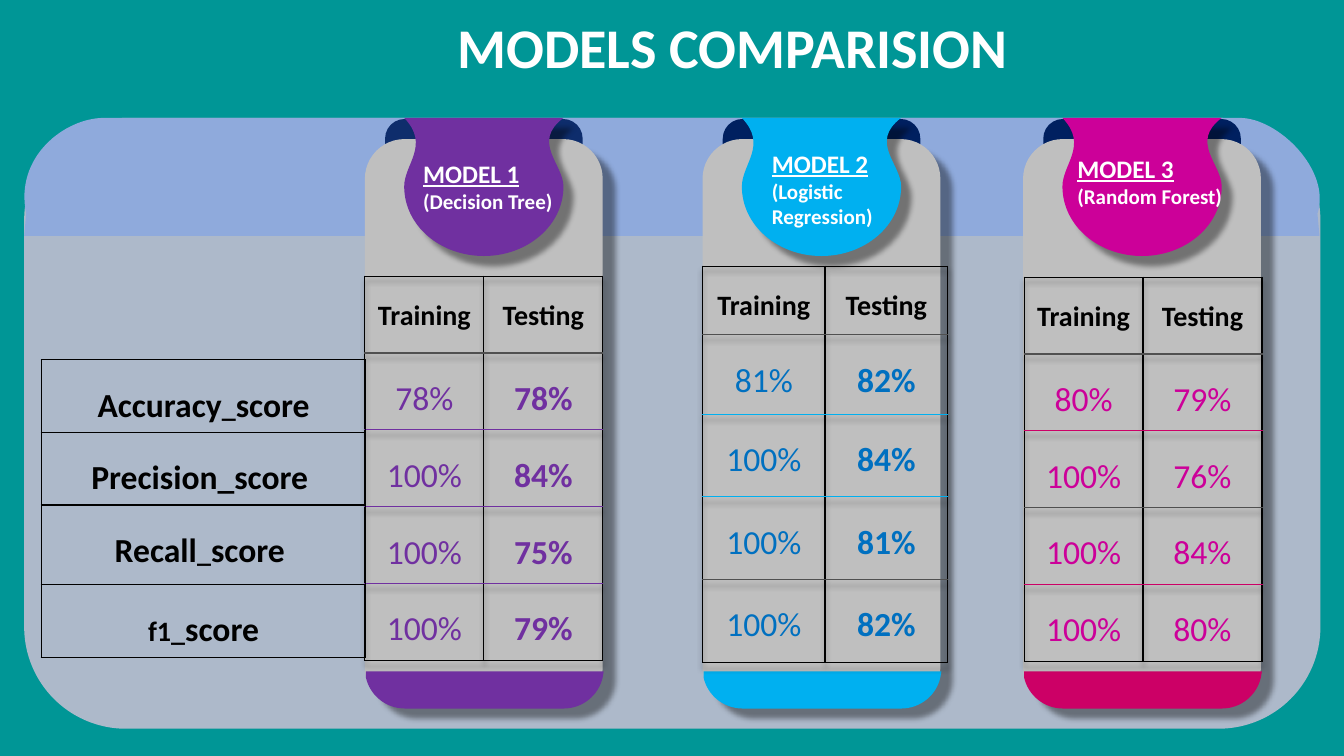
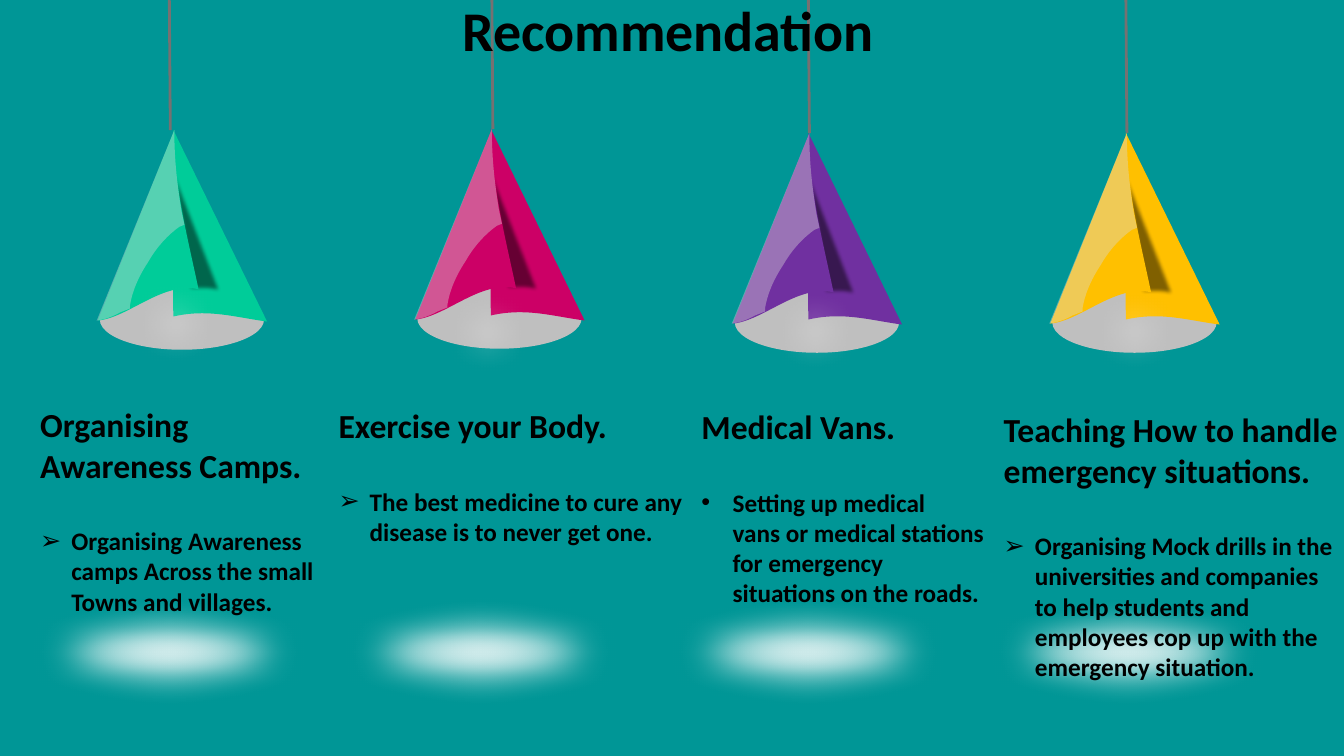
from dataclasses import dataclass

from lxml import etree
from pptx import Presentation
from pptx.dml.color import RGBColor
from pptx.enum.shapes import MSO_CONNECTOR, MSO_SHAPE
from pptx.enum.text import PP_ALIGN
from pptx.oxml.ns import qn
from pptx.util import Inches, Pt

LINE = MSO_CONNECTOR.STRAIGHT
ROUND, OVAL, DELAY = (MSO_SHAPE.ROUNDED_RECTANGLE, MSO_SHAPE.OVAL,
                      MSO_SHAPE.FLOWCHART_DELAY)
CENTER = PP_ALIGN.CENTER
NBSP = chr(160)  # keeps two words on one line


@dataclass(frozen=True)
class Theme:
    font: str = "Calibri"
    back: str = "009696"
    panel: str = "ADB9CA"
    band: str = "8FAADC"
    card: str = "BFBFBF"
    navy: str = "002060"
    cord: str = "767171"
    shine: str = "D9D9D9"
    grey: str = "505050"
    black: str = "000000"
    white: str = "FFFFFF"
    purple: str = "7030A0"
    sky: str = "00B0F0"
    blue: str = "0070C0"
    magenta: str = "CC0099"
    pink: str = "CC0066"
    green: str = "00CC99"
    gold: str = "FFC000"
    title: int = 40
    head: int = 24
    label: int = 20
    body: int = 18
    note: int = 15


T = Theme()


@dataclass(frozen=True)
class Model:
    name: str
    method: str
    x: float
    ribbon: str
    foot: str
    ink: str
    name_box: tuple[float, float, float, float]
    grid: tuple[float, float, float]  # left, top, width
    heights: tuple[float, ...]
    rules: tuple[str, ...]  # lines between the rows
    scores: tuple[tuple[str, str], ...]
    bold_test: bool = True
    ear_alpha: int = 100


@dataclass(frozen=True)
class Lamp:
    x: float
    y: float
    color: str
    cord_x: float
    glow: tuple[float, float]
    text_box: tuple[float, float, float, float]
    head: str
    body: str
    bullet: str = "➢"


EVEN = (3.81 / 5,) * 5
MODELS = (
    Model("MODEL 1", "(Decision Tree)", 3.62, T.purple, T.purple, T.purple,
          (4.1, 1.52, 1.56, 0.65), (3.62, 2.74, 2.36), EVEN,
          (T.grey, T.purple, T.purple, T.purple),
          (("78%", "78%"), ("100%", "84%"), ("100%", "75%"), ("100%", "79%")),
          ear_alpha=90),
    Model("MODEL 2", "(Logistic Regression)", 6.97, T.sky, T.sky, T.blue,
          (7.56, 1.42, 1.44, 0.91), (6.97, 2.64, 2.43),
          (0.68, 0.79, 0.82, 0.82, 0.82), (T.grey, T.sky, T.sky, T.grey),
          (("81%", "82%"), ("100%", "84%"), ("100%", "81%"), ("100%", "82%"))),
    Model("MODEL 3", "(Random Forest)", 10.15, T.magenta, T.pink, T.magenta,
          (10.59, 1.47, 1.7, 0.65), (10.16, 2.75, 2.36), EVEN,
          (T.grey, T.pink, T.grey, T.pink),
          (("80%", "79%"), ("100%", "76%"), ("100%", "84%"), ("100%", "80%")),
          bold_test=False),
)
LABELS = (
    (("Accuracy", T.head), ("_", T.label), ("score", T.head)),
    ((f"Precision_score{NBSP}", T.head),),
    (("Recall", T.head), ("_", T.label), (f"score{NBSP}", T.head)),
    (("f1_", T.label), ("score", T.head)),
)
LAMPS = (
    Lamp(1.73, 1.29, T.green, 1.69, (1.2, 2.63), (0.3, 3.96, 3.12, 2.22),
         "Organising Awareness Camps.",
         "Organising Awareness camps Across the small Towns and villages."),
    Lamp(4.88, 1.28, T.pink, 4.89, (4.29, 2.71), (3.26, 3.97, 3.69, 1.51),
         "Exercise your Body.",
         f"The best medicine to cure any disease{NBSP}is to never get one."),
    Lamp(8.03, 1.32, T.purple, 8.03, (7.54, 2.7), (6.86, 3.98, 3.01, 2.93),
         "Medical Vans.",
         f"Setting up medical vans{NBSP}or medical stations for{NBSP}emergency "
         f"situations on{NBSP}the roads.", "•"),
    Lamp(11.18, 1.32, T.gold, 11.18, (10.71, 2.7), (9.86, 4.01, 3.54, 2.83),
         "Teaching How to handle emergency situations.",
         "Organising Mock drills in the universities and companies to help "
         "students and employees cop up with the emergency situation."),
)

# Outlines: a start point, then one point per line or three per curve
BAND = ((1.03, 1.17), ((12.3, 1.17),),
        ((12.68, 1.17), (13.21, 1.69), (13.07, 2.12)),
        ((13.09, 2.34),), ((0.24, 2.34),), ((0.26, 2.12),),
        ((0.14, 1.55), (0.65, 1.17), (1.03, 1.17)))
RIBBON = ((1.97, 1.17), ((1.65, 1.41), (1.97, 1.63), (1.97, 1.85)),
          ((1.97, 2.24), (1.61, 2.54), (1.18, 2.54)),
          ((0.75, 2.54), (0.39, 2.24), (0.39, 1.85)),
          ((0.39, 1.63), (0.65, 1.44), (0.39, 1.17)), ((1.97, 1.17),))
FOOT = ((0.01, 6.66), ((2.37, 6.66),), ((2.36, 6.72),),
        ((2.32, 6.9), (2.16, 7.03), (1.97, 7.03)), ((0.4, 7.03),),
        ((0.21, 7.03), (0.05, 6.9), (0.01, 6.72)))
CONE_RIGHT = ((-0.01, 1.85), ((-0.02, 1.26), (-0.01, 0.59), (-0.01, 0)),
              ((0.92, 1.9),), ((0.61, 1.86), (0.34, 1.77), (-0.01, 1.85)))
CONE_LEFT = ((0.24, 1.58), ((0.12, 1.01), (0, 0.59), (0, 0)),
             ((-0.76, 1.89),), ((-0.45, 1.86), (-0.12, 1.5), (0.24, 1.58)))
FOLD = ((0.13, 1.62), ((0.13, 1.25), (-0.07, 0.49), (-0.07, 0.13)),
        ((0.51, 1.64),), ((0.39, 1.62), (0.28, 1.57), (0.13, 1.62)))
SHINE = ((0, 0), ((0, 0.3), (0.03, 0.55), (0.07, 0.8)),
         ((0.1, 0.94),), ((0.05, 0.96),),
         ((-0.05, 1.03), (-0.17, 1.15), (-0.26, 1.31)),
         ((-0.36, 1.46), (-0.42, 1.61), (-0.44, 1.74)),
         ((-0.44, 1.77),), ((-0.54, 1.81),),
         ((-0.61, 1.85), (-0.69, 1.88), (-0.77, 1.89)), ((0, 0),))


def rgb(color: str) -> RGBColor:
    return RGBColor.from_string(color)


def node(parent, tag: str, **attrs):
    return etree.SubElement(parent, qn(tag), {k: str(v) for k, v in attrs.items()})


def add_shadow(parent, dist: float, angle: int):
    shadow = node(parent, "a:outerShdw", blurRad=Pt(4), dist=Pt(dist),
                  dir=angle * 60000, algn="tl", rotWithShape=0)
    node(node(shadow, "a:srgbClr", val=T.black), "a:alpha", val=40000)


def paint(sp, color: str, alpha: int = 100, shadow: float = 0, soft: float = 0):
    """Plain fill, with optional transparency, drop shadow or soft edge."""
    sp.fill.solid()
    sp.fill.fore_color.rgb = rgb(color)
    sp.line.fill.background()
    sp.shadow.inherit = False
    spPr = sp._element.spPr
    if alpha < 100:
        node(spPr.find(".//" + qn("a:srgbClr")), "a:alpha", val=alpha * 1000)
    effects = spPr.find(qn("a:effectLst"))
    if shadow:
        add_shadow(effects, shadow, 45)
    if soft:
        node(effects, "a:softEdge", rad=Inches(soft))
    return sp


def add_shape(s, kind, box: tuple, color: str, **look):
    return paint(s.shapes.add_shape(kind, *map(Inches, box)), color, **look)


def add_outline(s, outline: tuple, color: str, dx: float = 0, dy: float = 0, **look):
    """Freeform through the end points, then curved where a segment has three."""
    def place(point):
        return Inches(point[0] + dx), Inches(point[1] + dy)

    start, *segs = outline
    builder = s.shapes.build_freeform(*place(start))
    builder.add_line_segments([place(seg[-1]) for seg in segs], close=True)
    sp = builder.convert_to_shape()
    for seg, ln in zip(segs, list(sp._element.iter(qn("a:lnTo")))):
        if len(seg) == 3:
            curve = etree.Element(qn("a:cubicBezTo"))
            for x, y in map(place, seg):
                node(curve, "a:pt", x=x - sp.left, y=y - sp.top)
            ln.getparent().replace(ln, curve)
    return paint(sp, color, **look)


def style(p, size: int, color: str, bold: bool = True, underline: bool = False):
    for r in p.runs:
        f = r.font
        f.name, f.size, f.bold, f.underline = T.font, Pt(size), bold, underline
        f.color.rgb = rgb(color)


def add_text(s, box: tuple, lines: tuple, color: str):
    """Text box; each line is (text, size, underline)."""
    tf = s.shapes.add_textbox(*map(Inches, box)).text_frame
    tf.word_wrap = True
    for i, (text, size, underline) in enumerate(lines):
        p = tf.add_paragraph() if i else tf.paragraphs[0]
        p.text = text
        style(p, size, color, underline=underline)
    return tf


def add_grid(s, left: float, top: float, widths: tuple, heights: tuple,
             rules: tuple):
    """Unfilled table; rules holds the colours of the lines between rows."""
    frame = s.shapes.add_table(len(heights), len(widths), Inches(left), Inches(top),
                               Inches(sum(widths)), Inches(sum(heights)))
    table = frame.table
    table.first_row = table.horz_banding = False
    for col, w in zip(table.columns, widths):
        col.width = Inches(w)
    edges = (T.black, *rules, T.black)
    for i, (row, h) in enumerate(zip(table.rows, heights)):
        row.height = Inches(h)
        for cell in row.cells:
            tcPr = cell._tc.get_or_add_tcPr()
            for side, color in zip("LRTB", (T.black, T.black, edges[i], edges[i + 1])):
                ln = node(tcPr, f"a:ln{side}", w=Pt(0.96))
                node(node(ln, "a:solidFill"), "a:srgbClr", val=color)
            cell.fill.background()
            p = cell.text_frame.paragraphs[0]
            p.alignment, p.line_spacing = CENTER, 1.5
    return table


def add_model(s, m: Model):
    # Card, ribbon and foot
    for dx in (0.2, 1.77):
        ear = add_shape(s, DELAY, (m.x + dx, 1.18, 0.39, 0.39), T.navy,
                        alpha=m.ear_alpha)
        ear.rotation = 270
    add_shape(s, ROUND, (m.x, 1.38, 2.36, 5.63), T.card, shadow=12)
    add_outline(s, RIBBON, m.ribbon, m.x, shadow=10)
    add_outline(s, FOOT, m.foot, m.x)
    add_text(s, m.name_box, ((m.name, T.body, True), (m.method, T.note, False)), T.white)
    # Scores
    left, top, width = m.grid
    table = add_grid(s, left, top, (width / 2,) * 2, m.heights, m.rules)
    add_shadow(node(table._tbl.tblPr, "a:effectLst"), 4, 90)
    for i, row in enumerate((("Training", "Testing"), *m.scores)):
        for j, text in enumerate(row):
            p = table.cell(i, j).text_frame.paragraphs[0]
            p.text = text
            if i == 0:
                style(p, T.label, T.black)
            else:
                style(p, T.head, m.ink, bold=j == 1 and m.bold_test)


def add_lamp(s, lamp: Lamp):
    x, y = lamp.x, lamp.y
    add_shape(s, OVAL, (x - 0.74, y + 1.58, 1.63, 0.6), T.card)
    add_outline(s, CONE_RIGHT, lamp.color, x, y)
    add_outline(s, FOLD, T.black, x, y, alpha=50, soft=0.04)
    add_outline(s, CONE_LEFT, lamp.color, x, y)
    add_outline(s, SHINE, T.shine, x, y, alpha=40)
    cord = s.shapes.add_connector(LINE, Inches(lamp.cord_x), Inches(y),
                                  Inches(lamp.cord_x - 0.01), 0)
    cord.line.color.rgb, cord.line.width = rgb(T.cord), Pt(2)
    node(cord._element.spPr, "a:effectLst")
    # Light under the lamp and on the floor
    left, top = lamp.glow
    add_shape(s, OVAL, (left, top, 1.1, 1.17), T.white, soft=0.35)
    add_shape(s, OVAL, (left - 1.29, 5.91, 3.54, 1.12), T.white, soft=0.35)


def add_advice(s, lamp: Lamp):
    tf = add_text(s, lamp.text_box, ((lamp.head, T.head, False),
                                     (lamp.body, T.body, False)), T.black)
    p = tf.paragraphs[1]
    p.space_before = Pt(29)
    pPr = p._p.get_or_add_pPr()
    pPr.set("marL", str(Inches(0.31)))
    pPr.set("indent", str(-Inches(0.31)))
    node(pPr, "a:buFont", typeface="Arial")
    node(pPr, "a:buChar", char=lamp.bullet)


def new_slide(prs):
    s = prs.slides.add_slide(prs.slide_layouts[6])
    s.background.fill.solid()
    s.background.fill.fore_color.rgb = rgb(T.back)
    return s


def add_title(s, text: str, box: tuple, color: str):
    add_text(s, box, ((text, T.title, False),), color)


def build_comparison(prs):
    s = new_slide(prs)
    add_shape(s, ROUND, (0.24, 1.17, 12.86, 6.06), T.panel)
    add_outline(s, BAND, T.band)
    for m in MODELS:
        add_model(s, m)
    # Row labels
    table = add_grid(s, 0.41, 3.57, (3.22,), (0.72, 0.72, 0.79, 0.72), (T.black,) * 3)
    for i, parts in enumerate(LABELS):
        p = table.cell(i, 0).text_frame.paragraphs[0]
        for text, _ in parts:
            p.add_run().text = text
        style(p, T.head, T.black)
        for r, (_, size) in zip(p.runs, parts):
            r.font.size = Pt(size)
    add_title(s, "MODELS COMPARISION", (4.44, 0.08, 5.85, 0.77), T.white)


def build_recommendation(prs):
    s = new_slide(prs)
    for lamp in LAMPS:
        add_lamp(s, lamp)
    for lamp in LAMPS:
        add_advice(s, lamp)
    add_title(s, "Recommendation", (4.49, -0.09, 4.95, 0.77), T.black)


def main():
    prs = Presentation()
    prs.slide_width, prs.slide_height = Inches(40) // 3, Inches(7.5)
    build_comparison(prs)
    build_recommendation(prs)
    prs.save("out.pptx")


if __name__ == "__main__":
    main()
